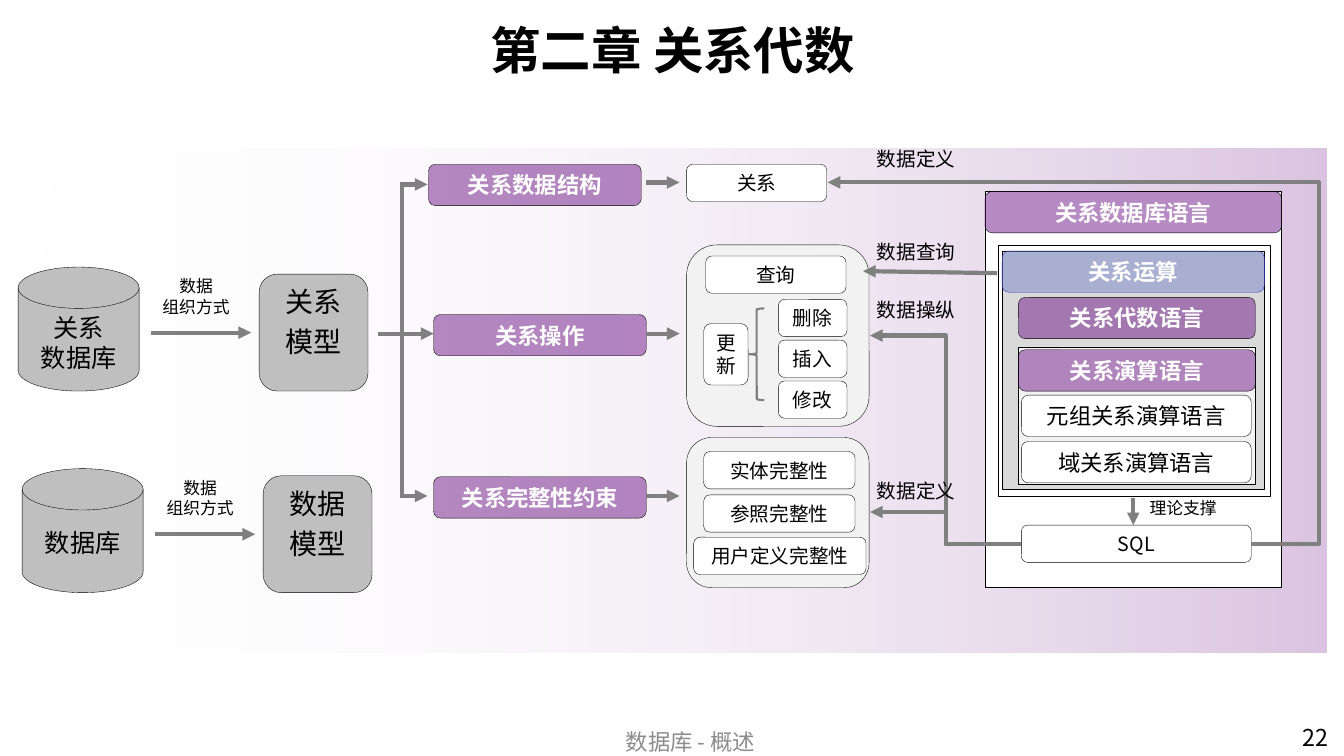
import pptx
import pptx.util
import pptx.dml.color
import pptx.enum.dml
import pptx.enum.shapes
import pptx.enum.text
import pptx.oxml
import pptx.oxml.ns
from dataclasses import dataclass

Inches, Pt = pptx.util.Inches, pptx.util.Pt
Preset = pptx.enum.shapes.MSO_SHAPE
Connector = pptx.enum.shapes.MSO_CONNECTOR
Align = pptx.enum.text.PP_ALIGN
Anchor = pptx.enum.text.MSO_ANCHOR
qn = pptx.oxml.ns.qn


@dataclass(frozen=True)
class Theme:
    font: str = "Noto Sans CJK SC"
    black: str = "000000"
    white: str = "FFFFFF"
    purple: str = "6F1787"
    blue: str = "7886CA"
    blue_line: str = "3333CC"
    arrow: str = "808080"
    store: str = "BFBFBF"
    panel: str = "F2F2F2"
    algebra: str = "D9D9D9"
    footer: str = "8C8C8C"
    title_size: float = 36
    model_size: float = 20
    store_size: float = 18
    page_size: float = 16.6
    heading_size: float = 16
    item_size: float = 14
    note_size: float = 12
    thin: float = 0.25
    brace: float = 1.5
    thick: float = 3


THEME = Theme()

TITLE = "第二章 关系代数"
FOOTER = "数据库 - 概述"
PAGE = "22"

# Left chains: left, top, store name, model name
CHAINS = [
    (0.18, 2.65, ["关系", "数据库"], ["关系", "模型"]),
    (0.22, 4.65, ["数据库"], ["数据", "模型"]),
]
STORAGE_NOTE = ["数据", "组织方式"]

# Boxes: text, left, top, width, height
HEADINGS = [
    ("关系数据结构", 4.25, 1.63, 2.11, 0.41),
    ("关系操作", 4.3, 3.12, 2.11, 0.41),
    ("关系完整性约束", 4.3, 4.73, 2.11, 0.41),
    ("关系数据库语言", 9.77, 1.9, 2.94, 0.41),
    ("关系代数语言", 10.1, 2.95, 2.35, 0.41),
    ("关系演算语言", 10.1, 3.47, 2.35, 0.41),
]
OPERATION_HEADING = ("关系运算", 9.94, 2.49, 2.6, 0.41)
ITEMS = [
    ("关系", 6.81, 1.63, 1.39, 0.37),
    ("查询", 7, 2.54, 1.39, 0.37),
    ("更新", 6.98, 3.21, 0.44, 0.61),
    ("实体完整性", 6.98, 4.48, 1.5, 0.37),
    ("参照完整性", 6.98, 4.91, 1.5, 0.37),
    ("用户定义完整性", 6.88, 5.33, 1.71, 0.37),
    ("SQL", 10.13, 5.21, 2.28, 0.37),
]
UPDATES = ["删除", "插入", "修改"]
CALCULUS = ["元组关系演算语言", "域关系演算语言"]

LANGUAGE_FRAMES = [
    (9.77, 1.9, 2.94, 3.93, THEME.white),
    (9.94, 2.49, 2.6, 2.36, THEME.algebra),
    (10.1, 3.44, 2.35, 1.36, THEME.panel),
]
ITEM_PANELS = [(6.81, 2.43, 1.81, 1.8), (6.81, 4.34, 1.81, 1.49)]
OPERATION_FRAME = (9.9, 2.43, 2.7, 2.49)

LINK_LABELS = [("数据定义", 1.41), ("数据查询", 2.33), ("数据操纵", 2.91), ("数据定义", 4.7)]
SUPPORT_NOTE = "理论支撑"

ARROWS = [
    ((3.75, 3.31), (4.3, 3.31)),
    *[((3.97, y), (4.24, y)) for y in (1.83, 4.92)],
    *[((6.41, y), (6.74, y)) for y in (1.81, 3.31, 4.92)],
    ((11.24, 4.94), (11.24, 5.21)),
    ((9.89, 2.71), (8.56, 2.69)),
]
TRUNK = ((3.99, 1.83), (3.99, 4.92))
# Elbows from SQL: start, end, bend position as a share of the width
ELBOWS = [
    ((10.13, 5.4), (8.63, 5.08), 0.5),
    ((10.13, 5.4), (8.63, 3.33), 0.5),
    ((12.41, 5.4), (8.21, 1.81), -0.16),
]

BACKDROP = [(-0.08, 6.47), (0.55, 1.47), (13.16, 1.47), (13.16, 6.47)]


def rgb(colour):
    return pptx.dml.color.RGBColor.from_string(colour)


def set_alpha(colour_element, percent):
    alpha = pptx.oxml.parse_xml(f'<a:alpha {pptx.oxml.ns.nsdecls("a")} val="{percent * 1000}"/>')
    colour_element.append(alpha)


def write(frame, lines, size, colour=THEME.black, bold=False, align=Align.CENTER,
          anchor=Anchor.TOP, gap=0):
    frame.word_wrap = True
    frame.vertical_anchor = anchor
    for index, line in enumerate(lines):
        paragraph = frame.paragraphs[0] if index == 0 else frame.add_paragraph()
        paragraph.alignment = align
        if index and gap:
            paragraph.space_before = Pt(gap)
        run = paragraph.add_run()
        run.text = line
        run.font.size, run.font.bold = Pt(size), bold
        run.font.color.rgb = rgb(colour)
        run.font.name = THEME.font
        east_asian = run.font._element.makeelement(qn("a:ea"), {"typeface": THEME.font})
        run.font._element.find(qn("a:latin")).addnext(east_asian)


def add_text(shapes, box, lines, size, **style):
    write(shapes.add_textbox(*map(Inches, box)).text_frame, lines, size, **style)


def add_box(shapes, preset, box, fill, line=THEME.black, width=THEME.thin, opacity=100):
    shape = shapes.add_shape(preset, *map(Inches, box))
    shape.shadow.inherit = False
    if fill is None:
        shape.fill.background()
    else:
        shape.fill.solid()
        shape.fill.fore_color.rgb = rgb(fill)
        if opacity < 100:
            set_alpha(shape._element.spPr.find(qn("a:solidFill"))[0], opacity)
    shape.line.color.rgb = rgb(line)
    shape.line.width = Pt(width)
    return shape


def add_heading(shapes, name, *box, fill=THEME.purple, line=THEME.black):
    heading = add_box(shapes, Preset.ROUNDED_RECTANGLE, box, fill, line, opacity=50)
    write(heading.text_frame, [name], THEME.heading_size, THEME.white, True, anchor=Anchor.MIDDLE)


def add_item(shapes, name, *box, size=THEME.item_size):
    item = add_box(shapes, Preset.ROUNDED_RECTANGLE, box, THEME.white)
    write(item.text_frame, [name], size, anchor=Anchor.MIDDLE)


def add_link(shapes, start, end, bend=None, arrow=True):
    kind = Connector.STRAIGHT if bend is None else Connector.ELBOW
    link = shapes.add_connector(kind, *map(Inches, (*start, *end)))
    link.line.color.rgb = rgb(THEME.arrow)
    link.line.width = Pt(THEME.thick)
    properties = link._element.spPr
    if arrow:
        outline = properties.find(qn("a:ln"))
        outline.append(outline.makeelement(qn("a:tailEnd"), {"type": "triangle"}))
    if bend is not None:
        guides = properties.find(qn("a:prstGeom")).find(qn("a:avLst"))
        guides.append(guides.makeelement(
            qn("a:gd"), {"name": "adj1", "fmla": f"val {round(bend * 100000)}"}))
    properties.append(properties.makeelement(qn("a:effectLst"), {}))


def add_backdrop(shapes):
    builder = shapes.build_freeform(*map(Inches, BACKDROP[0]), scale=1.0)
    builder.add_line_segments([tuple(map(Inches, point)) for point in BACKDROP[1:]], close=True)
    backdrop = builder.convert_to_shape()
    backdrop.shadow.inherit = False
    backdrop.line.fill.background()
    backdrop.fill.gradient()
    backdrop.fill.gradient_angle = 0
    stops = zip(backdrop.fill.gradient_stops, ((0, THEME.white, 0), (1, THEME.purple, 26)))
    for stop, (position, colour, opacity) in stops:
        stop.position = position
        stop.color.rgb = rgb(colour)
        set_alpha(stop._gs[0], opacity)


def add_chain(shapes, left, top, store, model):
    """Draw a store, the arrow with its note, and the model it leads to."""
    add_box(shapes, Preset.FLOWCHART_MAGNETIC_DISK, (left, top, 1.2, 1.23), THEME.store)
    drop = 0.4 if len(store) > 1 else 0.53
    add_text(shapes, (left + 0.08, top + drop, 1.04, 0.4 * len(store)), store, THEME.store_size)
    model_box = add_box(shapes, Preset.ROUNDED_RECTANGLE,
                        (left + 2.39, top + 0.07, 1.08, 1.16), THEME.store)
    write(model_box.text_frame, model, THEME.model_size, gap=5)
    add_link(shapes, (left + 1.32, top + 0.65), (left + 2.31, top + 0.65))
    add_text(shapes, (left + 1.13, top + 0.04, 1.27, 0.56), STORAGE_NOTE, THEME.note_size)


def main():
    deck = pptx.Presentation()
    deck.slide_width, deck.slide_height = Inches(13.33), Inches(7.5)
    slide = deck.slides.add_slide(deck.slide_layouts[5])
    shapes = slide.shapes
    title = shapes.title
    title.left, title.top, title.width, title.height = map(Inches, (1.15, 0.12, 11.04, 0.74))
    write(title.text_frame, [TITLE], THEME.title_size, bold=True, anchor=Anchor.MIDDLE)

    add_backdrop(shapes)
    add_text(shapes, (12.82, 7.13, 0.67, 0.52), [PAGE], THEME.page_size, align=Align.LEFT)
    add_text(shapes, (4.78, 7.21, 4.14, 0.29), [FOOTER], THEME.heading_size,
             colour=THEME.footer, anchor=Anchor.MIDDLE)

    for *box, fill in LANGUAGE_FRAMES:
        add_box(shapes, Preset.RECTANGLE, box, fill)
    for box in ITEM_PANELS:
        add_box(shapes, Preset.ROUNDED_RECTANGLE, box, THEME.panel)
    for chain in CHAINS:
        add_chain(shapes, *chain)
    for heading in HEADINGS:
        add_heading(shapes, *heading)
    add_heading(shapes, *OPERATION_HEADING, fill=THEME.blue, line=THEME.blue_line)
    for item in ITEMS:
        add_item(shapes, *item)
    for row, name in enumerate(UPDATES):
        add_item(shapes, name, 7.72, 2.97 + 0.405 * row, 0.68, 0.37)
    for row, name in enumerate(CALCULUS):
        add_item(shapes, name, 10.13, 3.92 + 0.46 * row, 2.28, 0.41, size=THEME.heading_size)
    add_box(shapes, Preset.LEFT_BRACE, (7.43, 3.06, 0.15, 0.91), None, THEME.arrow, THEME.brace)
    add_box(shapes, Preset.RECTANGLE, OPERATION_FRAME, None)

    add_link(shapes, *TRUNK, arrow=False)
    for link in ARROWS + ELBOWS:
        add_link(shapes, *link)
    for name, top in LINK_LABELS:
        add_text(shapes, (8.6, top, 1.27, 0.34), [name], THEME.item_size, align=Align.LEFT)
    add_text(shapes, (11.1, 4.89, 1.27, 0.34), [SUPPORT_NOTE], THEME.note_size)
    deck.save("out.pptx")


if __name__ == "__main__":
    main()
